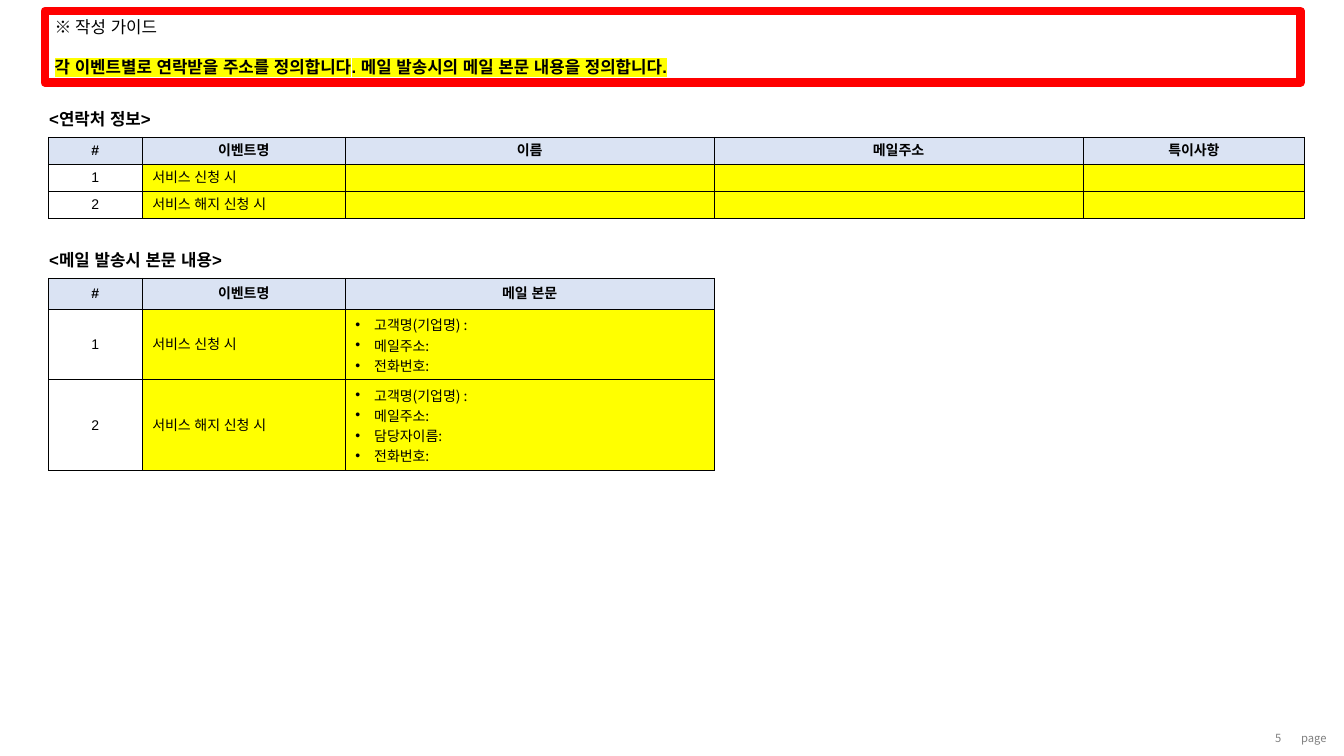
from collections import namedtuple
from dataclasses import dataclass

from lxml.etree import SubElement
from pptx import Presentation
from pptx.dml.color import RGBColor
from pptx.enum.shapes import MSO_SHAPE
from pptx.enum.text import MSO_ANCHOR, MSO_AUTO_SIZE, PP_ALIGN
from pptx.oxml.ns import qn
from pptx.util import Pt

Box = namedtuple("Box", "left top width height")


@dataclass(frozen=True)
class Theme:
    black: str = "000000"
    white: str = "FFFFFF"
    red: str = "FF0000"
    yellow: str = "FFFF00"
    blue: str = "DAE3F3"
    grey: str = "7F7F7F"
    arial: str = "Arial"
    noto: str = "Noto Sans CJK KR"
    head: float = 12
    body: float = 10
    foot: float = 8


THEME = Theme()
PAD = {"margin_left": Pt(7.2), "margin_right": Pt(7.2),
       "margin_top": Pt(3.6), "margin_bottom": Pt(3.6)}


def put(item, values):
    for name, value in values.items():
        setattr(item, name, value)


def paint(fill, color):
    fill.solid()
    fill.fore_color.rgb = RGBColor.from_string(color)


def write(para, text, size, face=THEME.arial, color=THEME.black, bold=False, mark=None):
    run = para.add_run()
    run.text = text
    put(run.font, {"size": Pt(size), "name": face, "bold": bold})
    run.font.color.rgb = RGBColor.from_string(color)
    props = run.font.fill._xPr
    SubElement(props, qn("a:ea"), typeface=face)
    if mark:
        light = SubElement(props, qn("a:highlight"))
        SubElement(light, qn("a:srgbClr"), val=mark)
        props.find(qn("a:solidFill")).addnext(light)


def label(slide, box, text, size, frame, align=PP_ALIGN.LEFT, **style):
    area = slide.shapes.add_textbox(*map(Pt, box)).text_frame
    put(area, {**PAD, **frame})
    para = area.paragraphs[0]
    para.alignment = align
    write(para, text, size, **style)


def guide(slide, box):
    shape = slide.shapes.add_shape(MSO_SHAPE.RECTANGLE, *map(Pt, box))
    shape.shadow.inherit = False
    paint(shape.fill, THEME.white)
    paint(shape.line.fill, THEME.red)
    shape.line.width = Pt(6)
    area = shape.text_frame
    put(area, {**PAD, "word_wrap": True, "vertical_anchor": MSO_ANCHOR.MIDDLE})
    first, second = area.paragraphs[0], area.add_paragraph()
    put(first, {"alignment": PP_ALIGN.LEFT})
    put(second, {"alignment": PP_ALIGN.LEFT, "space_before": Pt(13.8)})
    write(first, "※ ", THEME.head, THEME.noto)
    write(first, "작성 가이드", THEME.head)
    write(second, "각 이벤트별로 연락받을 주소를 정의합니다. 메일 발송시의 메일 본문 내용을 정의합니다.",
          THEME.head, bold=True, mark=THEME.yellow)


def edge(cell):
    props = cell._tc.get_or_add_tcPr()
    for side in ("lnL", "lnR", "lnT", "lnB"):
        line = SubElement(props, qn(f"a:{side}"), w=str(Pt(0.5)))
        fill = SubElement(line, qn("a:solidFill"))
        SubElement(fill, qn("a:srgbClr"), val=THEME.black)


def dot(para):
    props = para._p.get_or_add_pPr()
    put_in = {"marL": str(Pt(13.5)), "indent": str(-Pt(13.5))}
    for name, value in put_in.items():
        props.set(name, value)
    tint = SubElement(props, qn("a:buClr"))
    SubElement(tint, qn("a:srgbClr"), val=THEME.black)
    SubElement(props, qn("a:buFont"), typeface=THEME.arial)
    SubElement(props, qn("a:buChar"), char="•")


def fill_cell(cell, value, head, index):
    put(cell, {**PAD, "vertical_anchor": MSO_ANCHOR.MIDDLE})
    edge(cell)
    if head or index:
        paint(cell.fill, THEME.blue if head else THEME.yellow)
    else:
        cell.fill.background()
    area = cell.text_frame
    para = area.paragraphs[0]
    if not value:
        SubElement(para._p, qn("a:endParaRPr"), sz=str(THEME.body * 100))
    elif isinstance(value, list):
        for row, text in enumerate(value):
            para = area.add_paragraph() if row else para
            dot(para)
            write(para, text, THEME.body, THEME.noto)
    else:
        para.alignment = PP_ALIGN.CENTER if head or not index else PP_ALIGN.LEFT
        write(para, value, THEME.body, bold=head)


def section(slide, box, title, widths, heights, rows):
    label(slide, Box(box.left - 6.5, box.top, 148, 21.6), title, THEME.head,
          {"word_wrap": False, "auto_size": MSO_AUTO_SIZE.SHAPE_TO_FIT_TEXT}, bold=True)
    table = slide.shapes.add_table(
        len(rows), len(widths), Pt(box.left), Pt(box.top + 23.8),
        Pt(box.width), Pt(box.height - 23.8)).table
    put(table, {"first_row": False, "horz_banding": False})
    for column, width in zip(table.columns, widths):
        column.width = Pt(width)
    for row, height in zip(table.rows, heights):
        row.height = Pt(height)
    for r, values in enumerate(rows):
        for c, value in enumerate(values):
            fill_cell(table.cell(r, c), value, r == 0, c)


def footer(slide, box):
    frame = {"word_wrap": True, "vertical_anchor": MSO_ANCHOR.BOTTOM}
    for shift, text in ((0, "5"), (32.4, "page")):
        label(slide, Box(box.left + shift, box.top, 43.2, box.height), text, THEME.foot,
              frame, PP_ALIGN.RIGHT, face=THEME.noto, color=THEME.grey)


def main():
    deck = Presentation()
    put(deck, {"slide_width": Pt(960), "slide_height": Pt(540)})
    slide = deck.slides.add_slide(deck.slide_layouts[6])
    footer(slide, Box(879.1, 519.1, 75.6, 16.6))
    widths = [67, 145, 263.5, 263.5, 158.4]
    join, leave = "서비스 신청 시", "서비스 해지 신청 시"
    name, mail, phone = "고객명(기업명) :", "메일주소:", "전화번호:"
    section(slide, Box(34.6, 74.2, sum(widths), 81.8), "<연락처 정보>",
            widths, [19.35] * 3,
            [["#", "이벤트명", "이름", "메일주소", "특이사항"],
             ["1", join, "", "", ""],
             ["2", leave, "", "", ""]])
    guide(slide, Box(32, 7.9, 897.1, 51.1))
    section(slide, Box(34.6, 175, sum(widths[:3]), 161.3), "<메일 발송시 본문 내용>",
            widths[:3], [22.5, 50, 65],
            [["#", "이벤트명", "메일 본문"],
             ["1", join, [name, mail, phone]],
             ["2", leave, [name, mail, "담당자이름:", phone]]])
    deck.save("out.pptx")


if __name__ == "__main__":
    main()
